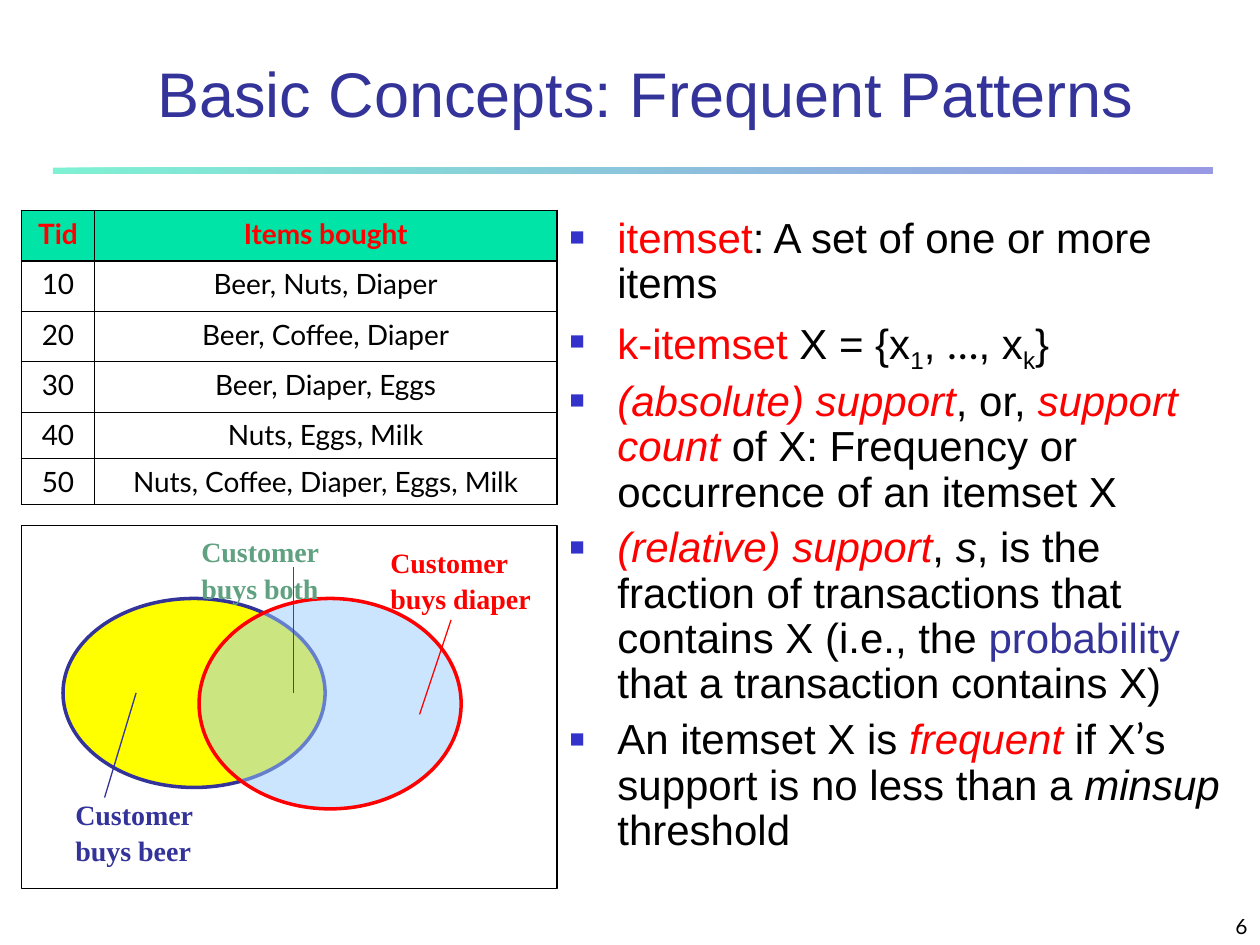
from lxml import etree
from pptx import Presentation
from pptx.dml.color import RGBColor
from pptx.enum.shapes import MSO_CONNECTOR, MSO_SHAPE
from pptx.enum.text import MSO_ANCHOR, MSO_AUTO_SIZE, PP_ALIGN
from pptx.oxml.ns import qn
from pptx.util import Inches, Pt

BLACK = RGBColor(0x00, 0x00, 0x00)
RED = RGBColor(0xFF, 0x00, 0x00)
NAVY = RGBColor(0x33, 0x33, 0x99)
BLUE = RGBColor(0x33, 0x33, 0xCC)
MINT = RGBColor(0x00, 0xE4, 0xA8)
YELLOW = RGBColor(0xFF, 0xFF, 0x00)
SKY = RGBColor(0x99, 0xCC, 0xFF)
GREEN = RGBColor(0x00, 0x80, 0x00)
SAGE = RGBColor(0x5F, 0xA1, 0x80)

ROWS = [
    ("Tid", "Items bought"),
    ("10", "Beer, Nuts, Diaper"),
    ("20", "Beer, Coffee, Diaper"),
    ("30", "Beer, Diaper, Eggs"),
    ("40", "Nuts, Eggs, Milk"),
    ("50", "Nuts, Coffee, Diaper, Eggs, Milk"),
]

BULLETS = [
    [("itemset", {"color": RED}), (": A set of one or more items", {})],
    [("k-itemset", {"color": RED}), (" X = {x", {}), ("1", {"sub": True}), (", ", {}),
     ("…", {"font": "Lato"}), (", x", {}), ("k", {"sub": True}), ("}", {})],
    [("(absolute) support", {"color": RED, "italic": True}), (", or, ", {}),
     ("support count", {"color": RED, "italic": True}),
     (" of X: Frequency or occurrence of an itemset X", {})],
    [("(relative) support", {"color": RED, "italic": True}), (", ", {}),
     ("s", {"italic": True}),
     (", is the fraction of transactions that contains X (i.e., the ", {}),
     ("probability", {"color": NAVY}), (" that a transaction contains X)", {})],
    [("An itemset X is ", {}), ("frequent", {"color": RED, "italic": True}),
     (" if X", {}), ("’", {"font": "Lato"}), ("s support is no less than a ", {}),
     ("minsup", {"italic": True}), (" threshold", {})],
]


def add_run(p, text, size, font="Arial", color=BLACK, bold=False, italic=False, sub=False):
    r = p.add_run()
    r.text = text
    r.font.size = Pt(size)
    r.font.name = font
    r.font.color.rgb = color
    r.font.bold = bold
    r.font.italic = italic
    if sub:
        r._r.get_or_add_rPr().set("baseline", "-25000")


def place(sp, left, top, width, height):
    sp.left, sp.top = Inches(left), Inches(top)
    sp.width, sp.height = Inches(width), Inches(height)


def set_alpha(color_el, percent):
    etree.SubElement(color_el, qn("a:alpha")).set("val", str(percent * 1000))


def add_rule(slide, left, top, width, height):
    sp = slide.shapes.add_shape(MSO_SHAPE.RECTANGLE, Inches(left), Inches(top),
                                Inches(width), Inches(height))
    sp.shadow.inherit = False
    sp.line.fill.background()
    sp.fill.gradient()
    sp.fill.gradient_angle = 0
    for stop, color in zip(sp.fill.gradient_stops, (MINT, BLUE)):
        stop.color.rgb = color
    for color_el in sp._element.spPr.iter(qn("a:srgbClr")):
        set_alpha(color_el, 50)


def add_title(slide, left, top, width, height):
    sp = slide.shapes.title
    place(sp, left, top, width, height)
    tf = sp.text_frame
    tf.auto_size = MSO_AUTO_SIZE.NONE
    tf.vertical_anchor = MSO_ANCHOR.BOTTOM
    p = tf.paragraphs[0]
    p.alignment = PP_ALIGN.CENTER
    add_run(p, "Basic Concepts: Frequent Patterns", 36, color=NAVY)


def add_bullet(p):
    pPr = p._p.get_or_add_pPr()
    pPr.set("marL", str(Inches(0.38)))
    pPr.set("indent", str(-Inches(0.38)))
    color = etree.SubElement(pPr, qn("a:buClr"))
    etree.SubElement(color, qn("a:srgbClr")).set("val", str(BLUE))
    etree.SubElement(pPr, qn("a:buSzPct")).set("val", "60000")
    etree.SubElement(pPr, qn("a:buChar")).set("char", "■")


def add_body(slide, left, top, width, height):
    sp = slide.placeholders[1]
    place(sp, left, top, width, height)
    tf = sp.text_frame
    tf.auto_size = MSO_AUTO_SIZE.NONE
    tf.vertical_anchor = MSO_ANCHOR.TOP
    for i, runs in enumerate(BULLETS):
        p = tf.paragraphs[0] if i == 0 else tf.add_paragraph()
        add_bullet(p)
        p.line_spacing = 0.9
        p.space_before = Pt(6 if i else 0)
        for text, style in runs:
            add_run(p, text, 24, **style)


def set_borders(cell, top, bottom):
    tcPr = cell._tc.get_or_add_tcPr()
    for i, (side, width) in enumerate((("L", 1.08), ("R", 1.08), ("T", top), ("B", bottom))):
        ln = etree.Element(qn("a:ln" + side), w=str(Pt(width)))
        fill = etree.SubElement(ln, qn("a:solidFill"))
        etree.SubElement(fill, qn("a:srgbClr")).set("val", str(BLACK))
        tcPr.insert(i, ln)


def add_transactions(slide, left, top, width, height):
    table = slide.shapes.add_table(len(ROWS), 2, Inches(left), Inches(top),
                                   Inches(width), Inches(height)).table
    table.first_row = table.horz_banding = False
    table.columns[0].width = Inches(0.58)
    table.columns[1].width = Inches(width - 0.58)
    last = len(ROWS) - 1
    for i, row in enumerate(ROWS):
        table.rows[i].height = Inches(0.4 if i < 4 else (height - 1.6) / 2)
        for j, text in enumerate(row):
            cell = table.cell(i, j)
            if i == 0:
                cell.fill.solid()
                cell.fill.fore_color.rgb = MINT
            else:
                cell.fill.background()
            set_borders(cell, 1.08 if i < 2 else 0.45, 1.08 if i in (0, last) else 0.45)
            p = cell.text_frame.paragraphs[0]
            p.alignment = PP_ALIGN.CENTER
            add_run(p, text, 16, "Lato", BLACK if i else RED, bold=i == 0)


def add_venn(slide, left, top, width, height):
    shapes = slide.shapes.add_group_shape().shapes

    def outline(kind, x, y, w, h, color, weight, fill=None):
        sp = shapes.add_shape(kind, Inches(left + x), Inches(top + y), Inches(w), Inches(h))
        sp.shadow.inherit = False
        sp.line.color.rgb = color
        sp.line.width = Pt(weight)
        if fill is None:
            sp.fill.background()
        else:
            sp.fill.solid()
            sp.fill.fore_color.rgb = fill
        return sp

    outline(MSO_SHAPE.OVAL, 0.33, 0.58, 2.08, 1.5, NAVY, 2, YELLOW)
    diaper = outline(MSO_SHAPE.OVAL, 1.41, 0.58, 2.08, 1.67, RED, 2, SKY)
    set_alpha(diaper._element.spPr.find(qn("a:solidFill"))[0], 50)

    for x1, y1, x2, y2, color in (
        (0.91, 1.33, 0.66, 2.16, NAVY),
        (3.16, 1.5, 3.41, 0.75, RED),
        (2.16, 1.33, 2.16, 0.33, GREEN),
    ):
        line = shapes.add_connector(MSO_CONNECTOR.STRAIGHT, Inches(left + x1), Inches(top + y1),
                                    Inches(left + x2), Inches(top + y2))
        line.line.color.rgb = color
        line.line.width = Pt(0.75)
        etree.SubElement(line._element.spPr, qn("a:effectLst"))

    for x, y, w, what, color in (
        (2.83, 0.08, 1.33, "buys diaper", RED),
        (1.33, 0, 1.2, "buys both", SAGE),
        (0.33, 2.08, 1.2, "buys beer", NAVY),
    ):
        tf = shapes.add_textbox(Inches(left + x), Inches(top + y),
                                Inches(w), Inches(0.69)).text_frame
        tf.word_wrap = True
        tf.auto_size = MSO_AUTO_SIZE.SHAPE_TO_FIT_TEXT
        for p, text in ((tf.paragraphs[0], "Customer"), (tf.add_paragraph(), what)):
            p.line_spacing = 1.1
            add_run(p, text, 16, "Times New Roman", color, bold=True)

    outline(MSO_SHAPE.RECTANGLE, 0, 0, width, height, BLACK, 0.75)


def add_page_number(slide, left, top, width, height):
    tf = slide.shapes.add_textbox(Inches(left), Inches(top),
                                  Inches(width), Inches(height)).text_frame
    tf.word_wrap = True
    tf.vertical_anchor = MSO_ANCHOR.BOTTOM
    p = tf.paragraphs[0]
    p.alignment = PP_ALIGN.RIGHT
    add_run(p, "6", 12, "Lato")


def main():
    prs = Presentation()
    prs.slide_width, prs.slide_height = Inches(10), Inches(7.5)
    slide = prs.slides.add_slide(prs.slide_layouts[1])
    add_rule(slide, 0.42, 1.33, 9.2, 0.05)
    add_page_number(slide, 7.92, 7.08, 2.08, 0.42)
    add_title(slide, 0.75, 0.25, 8.75, 0.83)
    add_body(slide, 4.42, 1.67, 5.42, 5.42)
    add_venn(slide, 0.17, 4.17, 4.25, 2.88)
    add_transactions(slide, 0.17, 1.67, 4.25, 2.33)
    prs.save("out.pptx")


if __name__ == "__main__":
    main()
